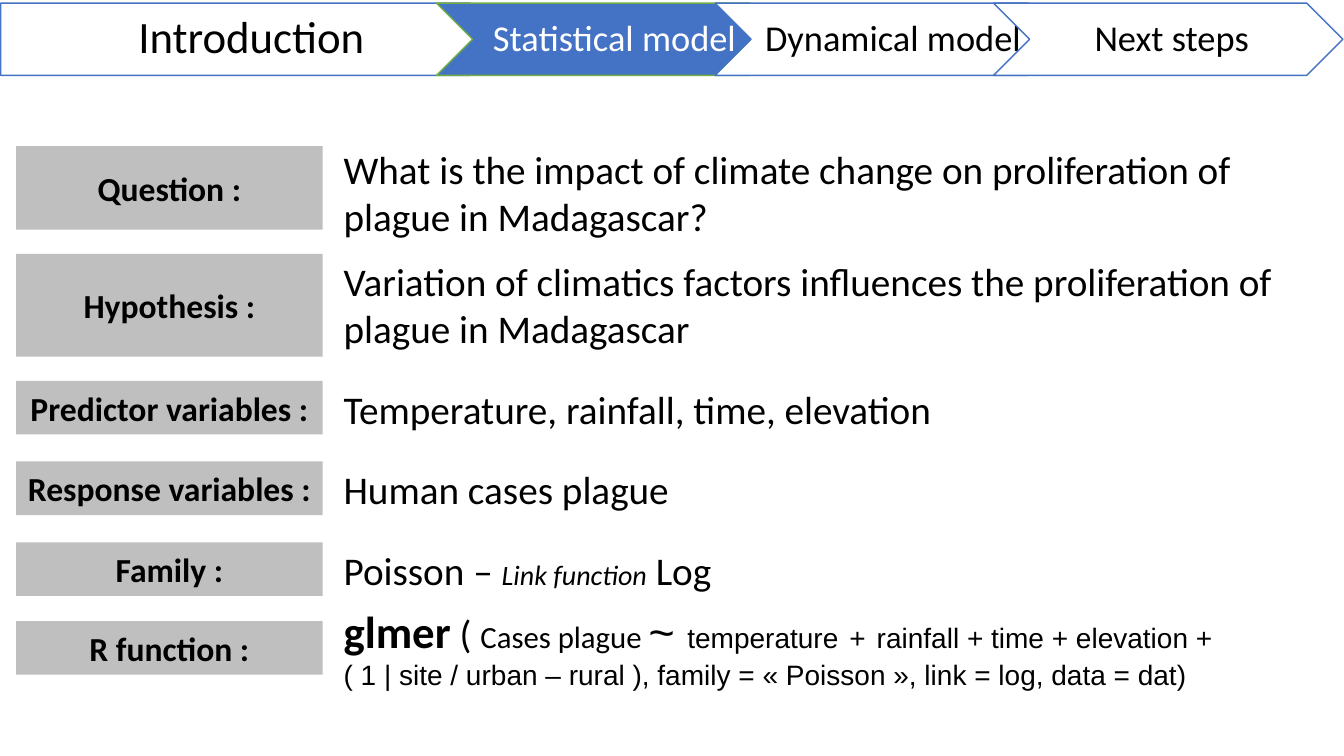
from pptx import Presentation
from pptx.dml.color import RGBColor
from pptx.enum.shapes import MSO_SHAPE as Shape
from pptx.enum.text import MSO_ANCHOR as Anchor, PP_ALIGN as Align
from pptx.util import Cm, Pt

COLORS = {"black": "000000", "white": "FFFFFF", "blue": "4472C4", "green": "70AD47", "gray": "BFBFBF"}

STEPS = [
    ("Introduction", 32, "white", "blue", "black"),
    ("Statistical model", 26, "blue", "green", "white"),
    ("Dynamical model", 26, "white", "blue", "black"),
    ("Next steps", 26, "white", "blue", "black"),
]

# label, label top, label height, text top, text width, text height, runs
ROWS = [
    ("Question :", 3.68, 2.11, 3.53, 25.04, 2.64,
     [("What is the impact of climate change on proliferation of plague in Madagascar?", 28)]),
    ("Hypothesis :", 6.4, 2.59, 6.35, 25.04, 2.64,
     [("Variation of climatics factors influences the proliferation of plague in Madagascar", 28)]),
    ("Predictor variables :", 9.6, 1.35, 9.58, 15.47, 1.45,
     [("Temperature, rainfall, time, elevation", 28)]),
    ("Response variables :", 11.63, 1.35, 11.61, 8.79, 1.45,
     [("Human cases plague", 28)]),
    ("Family :", 13.67, 1.35, 13.64, 9.98, 1.45,
     [("Poisson – ", 28), ("Link function", 20, "Calibri", "italic"), (" Log", 28)]),
    ("R function :", 15.65, 1.35, 15.09, 22.53, 3.68,
     [("glmer", 32, "Calibri", "bold"), (" ( ", 28), ("Cases plague ", 22),
      ("~ ", 32, "Arial"), ("temperature", 20, "Arial"), (" ", 28, "Arial"),
      ("+", 20, "Arial"), (" ", 28, "Arial"),
      ("rainfall + time + elevation + ( 1 | site / urban – rural ), "
       "family = « Poisson », link = log, data = dat)", 20, "Arial")]),
]

STEP_TOP, STEP_HEIGHT = 0.08, 1.82
FIRST_LEFT, FIRST_WIDTH = 0.02, 12.73
CHEVRON_LEFT, CHEVRON_WIDTH, CHEVRON_PITCH = 11.0, 8.8, 7.02
LABEL_LEFT, LABEL_WIDTH, TEXT_LEFT = 0.41, 7.72, 8.41


def color(name):
    return RGBColor.from_string(COLORS[name])


def style(span, size, font="Calibri", emphasis="", ink="black"):
    span.font.size = Pt(size)
    span.font.name = font
    span.font.bold = emphasis == "bold"
    span.font.italic = emphasis == "italic"
    span.font.color.rgb = color(ink)


def add_box(page, kind, left, top, width, height, fill, line=None):
    box = page.shapes.add_shape(kind, Cm(left), Cm(top), Cm(width), Cm(height))
    box.shadow.inherit = False
    box.fill.solid()
    box.fill.fore_color.rgb = color(fill)
    if line:
        box.line.color.rgb = color(line)
        box.line.width = Pt(1)
    else:
        box.line.fill.background()
    return box


def write_centered(box, text, size, emphasis="", ink="black"):
    box.text_frame.text = text
    box.text_frame.word_wrap = True
    box.text_frame.vertical_anchor = Anchor.MIDDLE
    para = box.text_frame.paragraphs[0]
    para.alignment = Align.CENTER
    style(para.runs[0], size, emphasis=emphasis, ink=ink)
    return para


def add_step(page, index, text, size, fill, line, ink):
    if index == 0:
        kind, left, width, insets = Shape.PENTAGON, FIRST_LEFT, FIRST_WIDTH, (0.48, 0.12)
    else:
        left = CHEVRON_LEFT + (index - 1) * CHEVRON_PITCH
        kind, width, insets = Shape.CHEVRON, CHEVRON_WIDTH, (0.28, 0.1)
    box = add_box(page, kind, left, STEP_TOP, width, STEP_HEIGHT, fill, line)
    box.adjustments[0] = 0.5
    frame = box.text_frame
    frame.margin_left, frame.margin_right = map(Cm, insets)
    frame.margin_top = frame.margin_bottom = Cm(0.2)
    write_centered(box, text, size, ink=ink).line_spacing = 0.9


def add_row(page, label, label_top, label_height, text_top, text_width, text_height, runs):
    box = add_box(page, Shape.RECTANGLE, LABEL_LEFT, label_top, LABEL_WIDTH, label_height, "gray")
    write_centered(box, label, 24, "bold")
    body = page.shapes.add_textbox(Cm(TEXT_LEFT), Cm(text_top), Cm(text_width), Cm(text_height))
    body.text_frame.word_wrap = text_height > 2
    para = body.text_frame.paragraphs[0]
    for text, *look in runs:
        span = para.add_run()
        span.text = text
        style(span, *look)


def main():
    deck = Presentation()
    deck.slide_width, deck.slide_height = Cm(33.87), Cm(19.05)
    page = deck.slides.add_slide(deck.slide_layouts[6])
    for index, step in enumerate(STEPS):
        add_step(page, index, *step)
    for row in ROWS:
        add_row(page, *row)
    deck.save("out.pptx")


if __name__ == "__main__":
    main()
